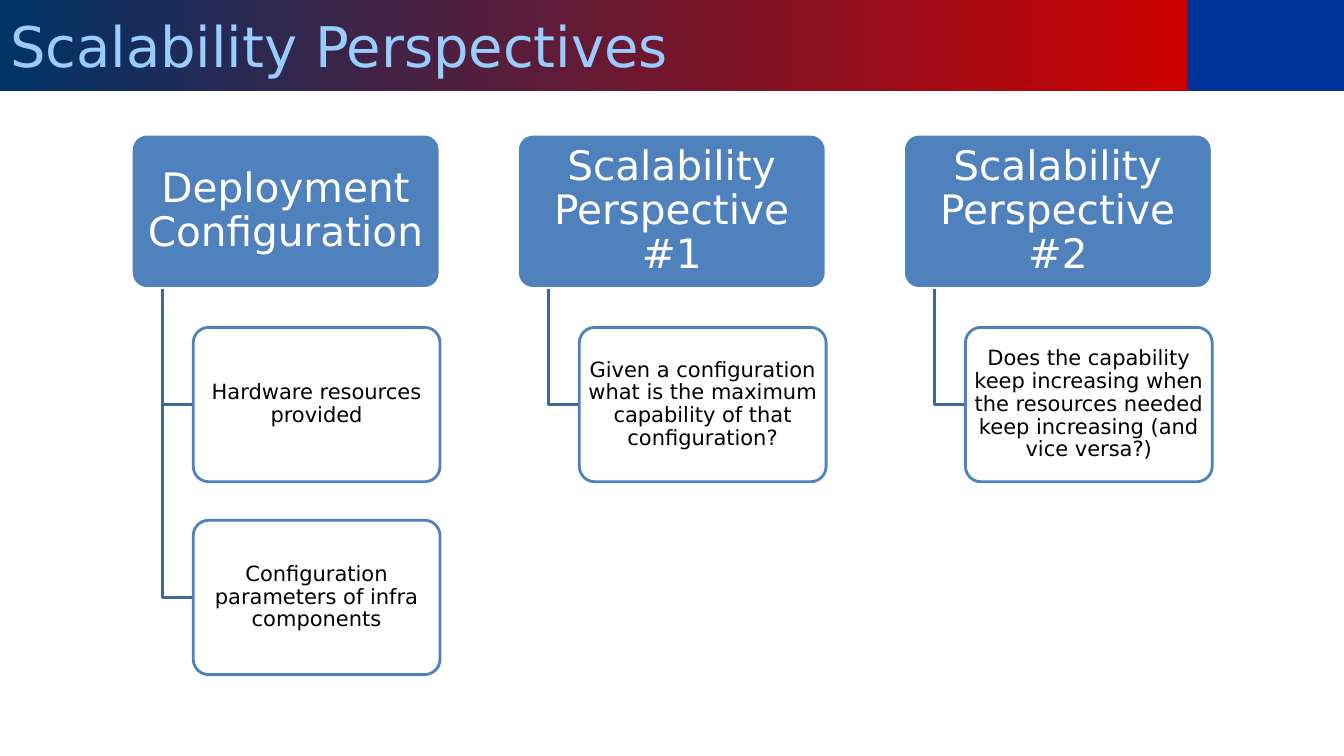
from lxml.etree import SubElement
from pptx import Presentation
from pptx.dml.color import RGBColor
from pptx.enum.shapes import MSO_SHAPE
from pptx.enum.text import MSO_ANCHOR, MSO_AUTO_SIZE, PP_ALIGN
from pptx.oxml.ns import qn
from pptx.util import Cm, Pt

FONT = "DejaVu Sans"
WHITE = RGBColor(0xFF, 0xFF, 0xFF)
BLACK = RGBColor(0x00, 0x00, 0x00)
BLOCK_BLUE = RGBColor(0x4F, 0x81, 0xBD)
BRANCH_BLUE = RGBColor(0x3F, 0x67, 0x97)
CORNER_BLUE = RGBColor(0x00, 0x33, 0x99)
TITLE_BLUE = RGBColor(0x99, 0xCC, 0xFF)
BAR_START = RGBColor(0x00, 0x33, 0x66)
BAR_END = RGBColor(0xCC, 0x00, 0x00)

# Lengths in centimetres
SLIDE_WIDTH, SLIDE_HEIGHT = 33.87, 19.05
BAR_WIDTH, BAR_HEIGHT = 29.93, 2.29
COLUMN_LEFT, COLUMN_PITCH = 3.31, 9.73
HEADING_TOP, HEADING_WIDTH, BLOCK_HEIGHT = 3.38, 7.78, 3.89
DETAIL_INDENT, DETAIL_TOP, DETAIL_WIDTH, DETAIL_PITCH = 1.56, 8.25, 6.22, 4.86
BRANCH_INDENT = 0.78

COLUMNS = [
    ("Deployment Configuration",
     ["Hardware resources provided",
      "Configuration parameters of infra components"]),
    ("Scalability Perspective #1",
     ["Given a configuration what is the maximum capability of that "
      "configuration?"]),
    ("Scalability Perspective #2",
     ["Does the capability keep increasing when the resources needed "
      "keep increasing (and vice versa?)"]),
]


def style_paragraph(paragraph, size, color, alignment):
    paragraph.alignment = alignment
    paragraph.font.name = FONT
    paragraph.font.size = Pt(size)
    paragraph.font.color.rgb = color


def add_title_bar(slide, text):
    # Title on a gradient
    title = slide.shapes.title
    title.left, title.top = Cm(0), Cm(0)
    title.width, title.height = Cm(BAR_WIDTH), Cm(BAR_HEIGHT)
    title.fill.gradient()
    title.fill.gradient_angle = 0
    for stop, color in zip(title.fill.gradient_stops, (BAR_START, BAR_END)):
        stop.color.rgb = color
    frame = title.text_frame
    frame.text = text
    frame.auto_size = MSO_AUTO_SIZE.NONE
    frame.vertical_anchor = MSO_ANCHOR.MIDDLE
    style_paragraph(frame.paragraphs[0], 40, TITLE_BLUE, PP_ALIGN.LEFT)

    # Plain corner to its right
    corner = slide.shapes.add_shape(
        MSO_SHAPE.RECTANGLE, Cm(BAR_WIDTH), Cm(0),
        Cm(SLIDE_WIDTH - BAR_WIDTH), Cm(BAR_HEIGHT))
    corner.shadow.inherit = False
    corner.fill.solid()
    corner.fill.fore_color.rgb = CORNER_BLUE
    corner.line.fill.background()


def add_block(slide, text, left, top, width, fill, outline, size, color, inset):
    block = slide.shapes.add_shape(
        MSO_SHAPE.ROUNDED_RECTANGLE,
        Cm(left), Cm(top), Cm(width), Cm(BLOCK_HEIGHT))
    block.adjustments[0] = 0.1
    block.shadow.inherit = False
    block.fill.solid()
    block.fill.fore_color.rgb = fill
    block.line.color.rgb = outline
    block.line.width = Pt(2)
    frame = block.text_frame
    frame.text = text
    frame.word_wrap = True
    frame.vertical_anchor = MSO_ANCHOR.MIDDLE
    frame.margin_left = frame.margin_right = Cm(inset)
    frame.margin_top = frame.margin_bottom = Cm(inset)
    paragraph = frame.paragraphs[0]
    paragraph.line_spacing = 0.9
    style_paragraph(paragraph, size, color, PP_ALIGN.CENTER)
    return block


def add_heading(slide, text, left):
    add_block(slide, text, left, HEADING_TOP, HEADING_WIDTH,
              BLOCK_BLUE, WHITE, 29, WHITE, 0.15)


def add_detail(slide, text, left, top):
    detail = add_block(slide, text, left, top, DETAIL_WIDTH,
                       WHITE, BLOCK_BLUE, 15, BLACK, 0.07)
    # Slightly transparent fill
    fill_color = detail._element.spPr.find(qn("a:solidFill"))[0]
    SubElement(fill_color, qn("a:alpha")).set("val", "90000")


def add_branch(slide, left, top, right, bottom):
    outline = slide.shapes.build_freeform(Cm(left), Cm(top))
    outline.add_line_segments(
        [(Cm(left), Cm(bottom)), (Cm(right), Cm(bottom))], close=False)
    branch = outline.convert_to_shape()
    branch.shadow.inherit = False
    branch.fill.background()
    branch.line.color.rgb = BRANCH_BLUE
    branch.line.width = Pt(2)


def add_column(slide, left, heading, details):
    add_heading(slide, heading, left)
    detail_left = left + DETAIL_INDENT
    for row, detail in enumerate(details):
        top = DETAIL_TOP + row * DETAIL_PITCH
        add_branch(slide, left + BRANCH_INDENT, HEADING_TOP + BLOCK_HEIGHT,
                   detail_left, top + BLOCK_HEIGHT / 2)
        add_detail(slide, detail, detail_left, top)


def main():
    presentation = Presentation()
    presentation.slide_width = Cm(SLIDE_WIDTH)
    presentation.slide_height = Cm(SLIDE_HEIGHT)
    title_only = presentation.slide_layouts[5]
    slide = presentation.slides.add_slide(title_only)

    add_title_bar(slide, "Scalability Perspectives")
    for index, (heading, details) in enumerate(COLUMNS):
        add_column(slide, COLUMN_LEFT + index * COLUMN_PITCH, heading, details)

    presentation.save("out.pptx")


if __name__ == "__main__":
    main()
